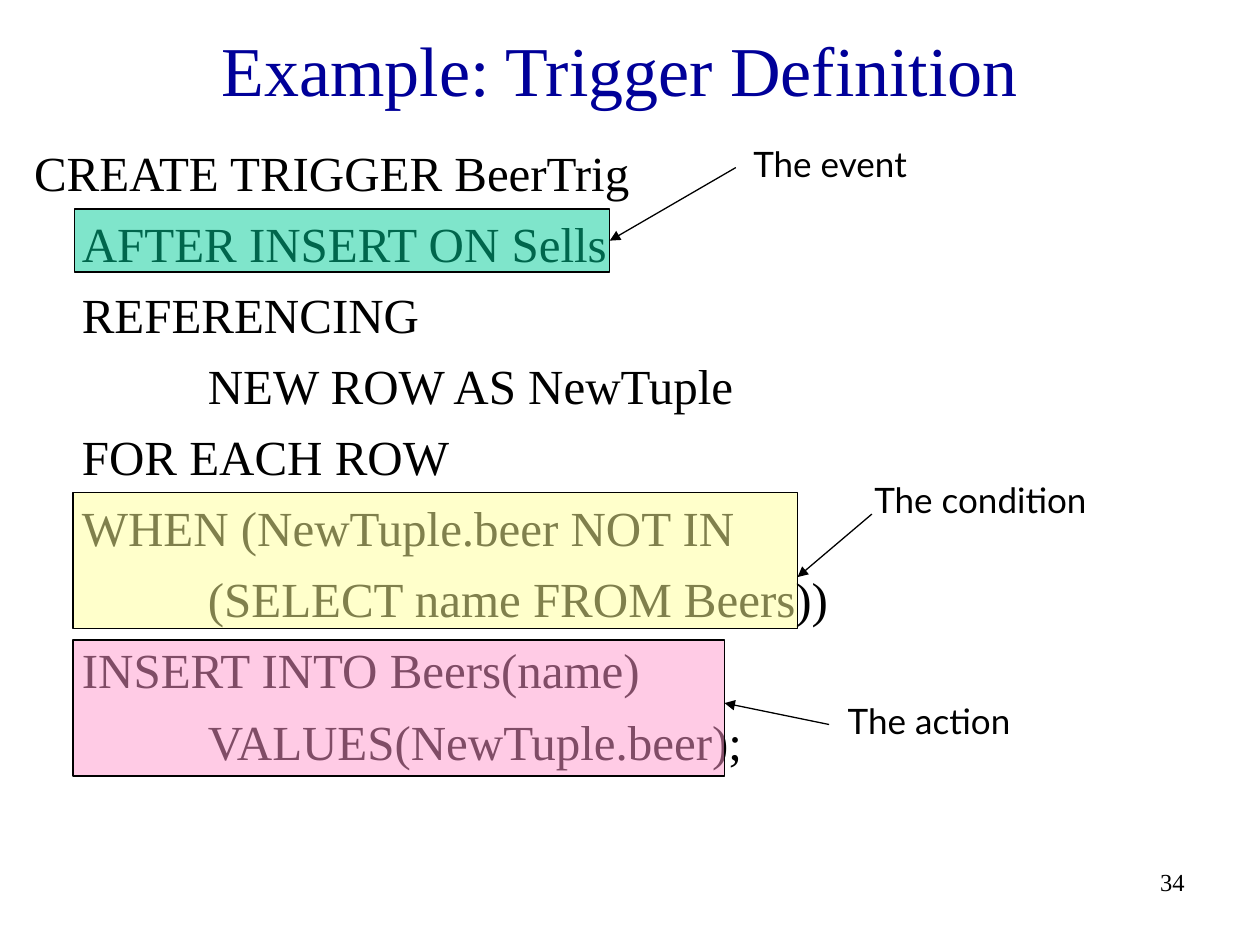
from pptx import Presentation
from pptx import util as u
from pptx.dml import color
from pptx.enum import shapes, text
from pptx.oxml import ns, xmlchemy

BLACK = color.RGBColor(0x00, 0x00, 0x00)
NAVY = color.RGBColor(0x00, 0x00, 0x99)
GREEN = color.RGBColor(0x00, 0xCC, 0x99)
YELLOW = color.RGBColor(0xFF, 0xFF, 0x99)
PINK = color.RGBColor(0xFF, 0x99, 0xCC)

SERIF = "Times New Roman"
TITLE = {"name": SERIF, "size": u.Pt(40), "bold": False}
CODE = {"name": SERIF, "size": u.Pt(28)}
LABEL = {"name": "Lato", "size": u.Pt(20)}
NUMBER = {"name": SERIF, "size": u.Pt(14)}

LINES = [
    "CREATE TRIGGER BeerTrig",
    "\tAFTER INSERT ON Sells",
    "\tREFERENCING",
    "\t\tNEW ROW AS NewTuple",
    "\tFOR EACH ROW",
    "\tWHEN (NewTuple.beer NOT IN",
    "\t\t(SELECT name FROM Beers))",
    "\tINSERT INTO Beers(name)",
    "\t\tVALUES(NewTuple.beer);",
]

CALLS = [
    ("The event", GREEN, (0.59, 1.66, 4.25, 0.5),
     (5.29, -0.58, 1.48), (5.25, -0.33), 0.25),
    ("The condition", YELLOW, (0.58, 3.91, 5.75, 1.08),
     (6.26, -0.16, 1.98), (6.34, 0.17), 0.67),
    ("The action", PINK, (0.58, 5.08, 5.17, 1.08),
     (6.05, 0.42, 1.56), (6.0, 0.67), 0.5),
]


def inches(*nums):
    return [u.Inches(num) for num in nums]


def apply(item, form):
    for key, value in form.items():
        setattr(item, key, value)


def place(shape, box):
    apply(shape, dict(zip(("left", "top", "width", "height"), inches(*box))))


def write(para, words, form, tint=BLACK):
    run = para.add_run()
    run.text = words
    apply(run.font, form)
    run.font.color.rgb = tint


def add_tag(parent, tag, **attrs):
    child = xmlchemy.OxmlElement(tag)
    for key, value in attrs.items():
        child.set(key, str(value))
    parent.append(child)
    return child


def add_title(slide, box):
    title = slide.shapes.title
    place(title, box)
    frame = title.text_frame
    apply(frame, {"vertical_anchor": text.MSO_ANCHOR.MIDDLE,
                  "auto_size": text.MSO_AUTO_SIZE.NONE})
    para = frame.paragraphs[0]
    para.alignment = text.PP_ALIGN.CENTER
    write(para, "Example: Trigger Definition", TITLE, NAVY)


def add_code(slide, box):
    body = slide.placeholders[1]
    place(body, box)
    frame = body.text_frame
    apply(frame, {"margin_top": u.Inches(0.05),
                  "auto_size": text.MSO_AUTO_SIZE.NONE})
    for row, line in enumerate(LINES):
        para = frame.add_paragraph() if row else frame.paragraphs[0]
        para.space_before = u.Pt(7 if row else 0)
        props = para._p.get_or_add_pPr()
        for key, size in (("marL", 0.38), ("indent", -0.38), ("defTabSz", 1)):
            props.set(key, str(u.Inches(size)))
        add_tag(props, "a:buNone")
        tabs = add_tag(props, "a:tabLst")
        for stop in range(8):
            add_tag(tabs, "a:tab", pos=u.Inches(stop), algn="l")
        write(para, line, CODE)


def add_call(slide, words, tint, box, label, start, drop):
    left, top, width, height = box
    group = slide.shapes.add_group_shape().shapes

    mark = group.add_shape(shapes.MSO_SHAPE.RECTANGLE, *inches(*box))
    mark.shadow.inherit = False
    mark.fill.solid()
    mark.fill.fore_color.rgb = tint
    shade = mark.fill._xPr.find(".//" + ns.qn("a:srgbClr"))
    add_tag(shade, "a:alpha", val=50000)

    right, down, wide = label
    note = group.add_textbox(*inches(left + right, top + down, wide, 0.44))
    apply(note.text_frame, {"word_wrap": False,
                            "auto_size": text.MSO_AUTO_SIZE.SHAPE_TO_FIT_TEXT})
    write(note.text_frame.paragraphs[0], words, LABEL)

    arrow = group.add_connector(
        shapes.MSO_CONNECTOR.STRAIGHT,
        *inches(left + start[0], top + start[1], left + width, top + drop))
    for item in (mark, arrow):
        item.line.color.rgb = BLACK
        item.line.width = u.Pt(0.75)
    add_tag(arrow.line._get_or_add_ln(), "a:tailEnd", type="triangle")
    add_tag(arrow._element.spPr, "a:effectLst")


def add_number(slide, box):
    note = slide.shapes.add_textbox(*inches(*box))
    note.text_frame.word_wrap = True
    para = note.text_frame.paragraphs[0]
    para.alignment = text.PP_ALIGN.RIGHT
    write(para, "34", NUMBER)


def main():
    deck = Presentation()
    apply(deck, {"slide_width": u.Inches(10), "slide_height": u.Inches(7.5)})
    slide = deck.slides.add_slide(deck.slide_layouts[1])
    add_number(slide, (7.42, 6.83, 2.08, 0.5))
    add_title(slide, (0.17, 0.17, 9.5, 0.75))
    add_code(slide, (0.17, 1.08, 9.5, 5.92))
    for call in CALLS:
        add_call(slide, *call)
    deck.save("out.pptx")


if __name__ == "__main__":
    main()
